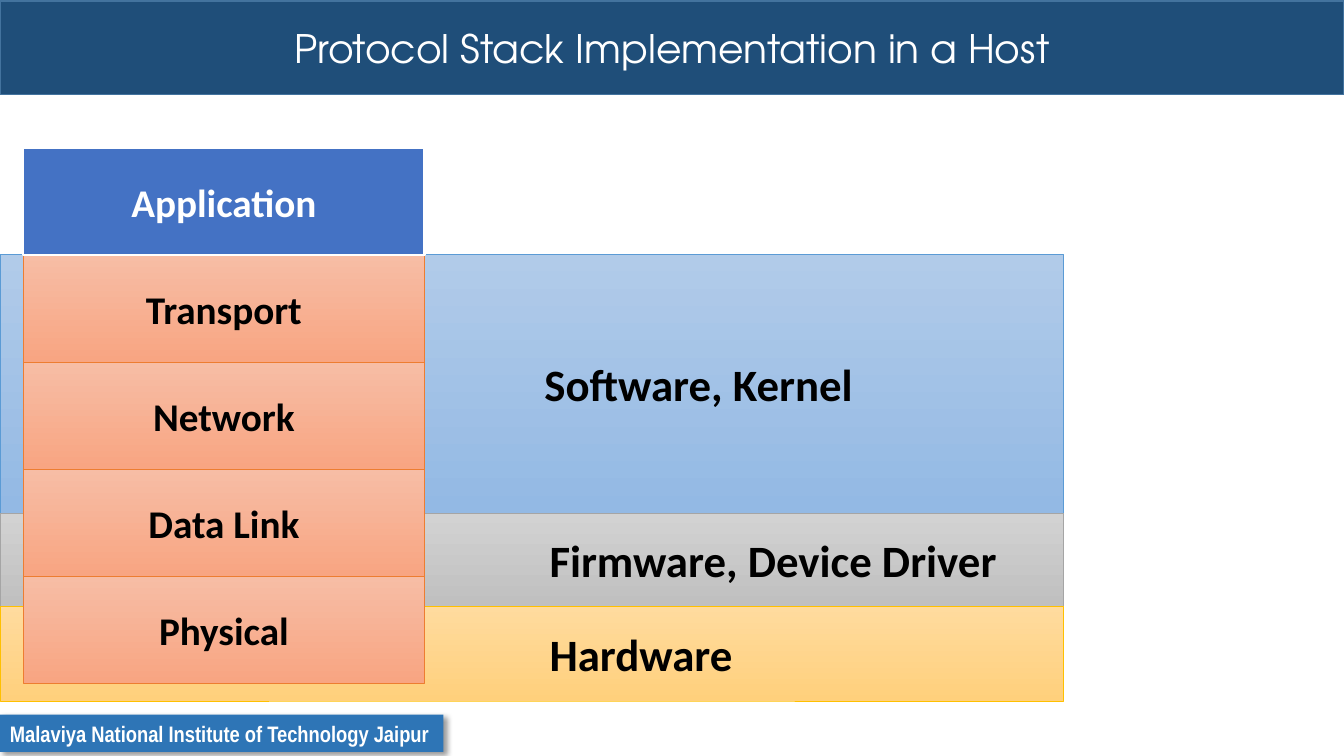
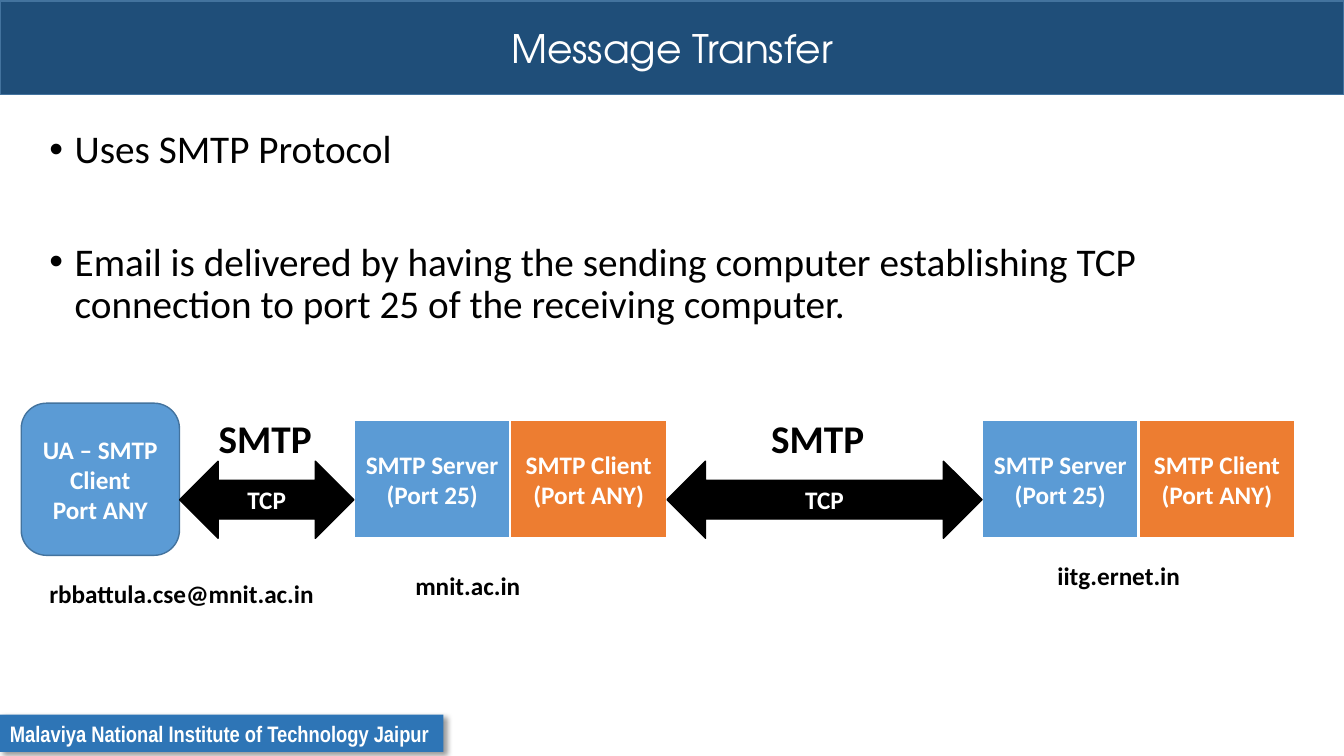
from lxml import etree
from pptx import Presentation
from pptx.dml.color import RGBColor
from pptx.enum.shapes import MSO_SHAPE
from pptx.enum.text import MSO_ANCHOR, MSO_AUTO_SIZE, PP_ALIGN
from pptx.oxml.ns import qn
from pptx.util import Inches, Pt

RECT = MSO_SHAPE.RECTANGLE
ROUND = MSO_SHAPE.ROUNDED_RECTANGLE
ARROW = MSO_SHAPE.LEFT_RIGHT_ARROW
MID, TOP = MSO_ANCHOR.MIDDLE, MSO_ANCHOR.TOP
LEFT, CENTER = PP_ALIGN.LEFT, PP_ALIGN.CENTER
FIXED = MSO_AUTO_SIZE.NONE

WIDE, HIGH = Inches(13.33), Inches(7.5)
BODY, HEAD, FOOT = "Calibri", "TeX Gyre Adventor", "Arial Narrow"
WHITE, BLACK = "FFFFFF", "000000"
NAVY, EDGE, BLUE = "1F4E79", "43739E", "2E75B6"
SKY, ROYAL, ORANGE = "5B9BD5", "4472C4", "ED7D31"
BAND = (0, 0.13, 100, 12.4)


def rgb(code):
    return RGBColor.from_string(code)


def area(x, y, w, h):
    """Turn percentages of the slide's width and height into lengths."""
    return [round(part * full / 100)
            for part, full in zip((x, y, w, h), (WIDE, HIGH, WIDE, HIGH))]


def place(item, box):
    item.left, item.top, item.width, item.height = area(*box)


def style(font, size, color, bold=True, face=BODY):
    font.name, font.size, font.bold = face, Pt(size), bold
    font.color.rgb = rgb(color)


def write(frame, lines, size, color, align=CENTER, anchor=MID, **look):
    frame.vertical_anchor = anchor
    for num, line in enumerate(lines):
        para = frame.add_paragraph() if num else frame.paragraphs[0]
        para.alignment = align
        run = para.add_run()
        run.text = line
        style(run.font, size, color, **look)


def paint(fill, colors):
    """Fill with one colour, or fade downwards between two."""
    if len(colors) == 1:
        fill.solid()
        fill.fore_color.rgb = rgb(colors[0])
        return
    fill.gradient()
    fill.gradient_angle = 270
    for stop, color in zip(fill.gradient_stops, colors):
        stop.color.rgb = rgb(color)


def block(slide, box, colors, edge, weight, kind=RECT):
    item = slide.shapes.add_shape(kind, *area(*box))
    item.shadow.inherit = False
    paint(item.fill, colors)
    item.line.color.rgb = rgb(edge)
    item.line.width = Pt(weight)
    item.text_frame.word_wrap = True
    return item


def label(slide, text, box, size):
    frame = slide.shapes.add_textbox(*area(*box)).text_frame
    frame.word_wrap = False
    write(frame, [text], size, BLACK, LEFT, TOP)


def shade(item):
    """Add a soft shadow towards the lower right."""
    effects = item.element.spPr.find(qn("a:effectLst"))
    outer = etree.SubElement(effects, qn("a:outerShdw"), blurRad=str(Pt(4)),
                             dist=str(Pt(3)), dir="2700000", algn="tl")
    color = etree.SubElement(outer, qn("a:srgbClr"), val=BLACK)
    etree.SubElement(color, qn("a:alpha"), val="40000")


def brand(deck, slide):
    """Put the title band and the footer on the slide master."""
    band = block(slide, BAND, [NAVY], EDGE, 1)
    foot = block(slide, (0, 94.53, 33, 4.93), [BLUE], BLUE, 1)
    foot.line.fill.background()
    foot.text_frame.word_wrap = False
    write(foot.text_frame, ["Malaviya National Institute of Technology Jaipur"],
          16, WHITE, LEFT, face=FOOT)
    shade(foot)
    tree = deck.slide_master.shapes.element
    for num, item in enumerate((band, foot)):
        item.element.nvSpPr.cNvPr.set("id", str(100 + num))
        tree.insert(2 + num, item.element)


def start(deck, layout, title):
    slide = deck.slides.add_slide(deck.slide_layouts[layout])
    head = slide.shapes.title
    place(head, BAND)
    head.text_frame.auto_size = FIXED
    write(head.text_frame, [title], 28, WHITE, bold=False, face=HEAD)
    return slide


def bullets(slide, lines, box, gap):
    body = slide.placeholders[1]
    place(body, box)
    frame = body.text_frame
    frame.auto_size = FIXED
    write(frame, lines, 28, BLACK, LEFT, TOP, bold=False)
    for num, para in enumerate(frame.paragraphs):
        props = para._p.get_or_add_pPr()
        props.set("marL", str(Inches(0.25)))
        props.set("indent", str(-Inches(0.25)))
        etree.SubElement(props, qn("a:buFont"), typeface="Arial")
        etree.SubElement(props, qn("a:buChar"), char="•")
        para.line_spacing = 0.9
        para.space_before = Pt(gap if num else 0)


def stack(slide):
    y = 33.6
    for text, high, colors, edge, inset in (
            ("Software, Kernel", 34.27, ("B1CBE9", "93B9E4"), SKY, 5.4),
            ("Firmware, Device Driver", 12.33, ("D2D2D2", "C0C0C0"), "A5A5A5", 5.45),
            ("Hardware", 12.53, ("FFDB9E", "FFD07C"), "FFC000", 5.45)):
        item = block(slide, (0, y, 79.14, high), colors, edge, 0.5)
        item.text_frame.margin_left = Inches(inset)
        write(item.text_frame, [text], 32, BLACK, LEFT)
        y += high

    layers = ["Application", "Transport", "Network", "Data Link", "Physical"]
    for row, text in reversed(list(enumerate(layers))):
        look = (("F7BDA5", "F8A582"), ORANGE, 0.5) if row else ([ROYAL], WHITE, 1.5)
        item = block(slide, (1.73, 19.6 + row * 14.16, 29.86, 14.13), *look)
        write(item.text_frame, [text], 28, BLACK if row else WHITE)


def relay(slide):
    """Draw the mail's way from the user through two hosts."""
    pairs, wide = (26.33, 73.07), 11.65
    for x in pairs:
        for col, (lines, color) in enumerate((
                (["SMTP Server", "(Port 25)"], SKY),
                (["SMTP Client (Port ANY)"], ORANGE))):
            item = block(slide, (x + col * wide, 55.6, wide, 15.6),
                         [color], WHITE, 1.5)
            write(item.text_frame, lines, 18, WHITE)

    user = block(slide, (1.58, 53.33, 11.78, 20.13), [SKY], EDGE, 1, ROUND)
    write(user.text_frame, ["UA – SMTP Client", "Port ANY"], 18, WHITE)

    for x, end, mark in zip((13.36, pairs[0] + 2 * wide), pairs, (15.53, 56.64)):
        item = block(slide, (x, 61, end - x, 10.2), [BLACK], BLACK, 1, ARROW)
        write(item.text_frame, ["TCP"], 18, WHITE)
        label(slide, "SMTP", (mark, 54.13, 8.48, 7.6), 28)

    for text, x, y, w in (("rbbattula.cse@mnit.ac.in", 2.93, 75.87, 21.38),
                          ("mnit.ac.in", 30.16, 74.8, 9.38),
                          ("iitg.ernet.in", 77.94, 73.47, 10.65)):
        label(slide, text, (x, y, w, 5.33), 18)


def main():
    deck = Presentation()
    deck.slide_width, deck.slide_height = WIDE, HIGH

    host = start(deck, 5, "Protocol Stack Implementation in a Host")
    brand(deck, host)
    stack(host)

    mail = start(deck, 1, "Message Transfer")
    bullets(mail, ["Uses SMTP Protocol",
                   "Email is delivered by having the sending computer establishing "
                   "TCP connection to port 25 of the receiving computer."],
            (2.93, 16.53, 94.75, 78), 50)
    relay(mail)

    deck.save("out.pptx")


if __name__ == "__main__":
    main()
